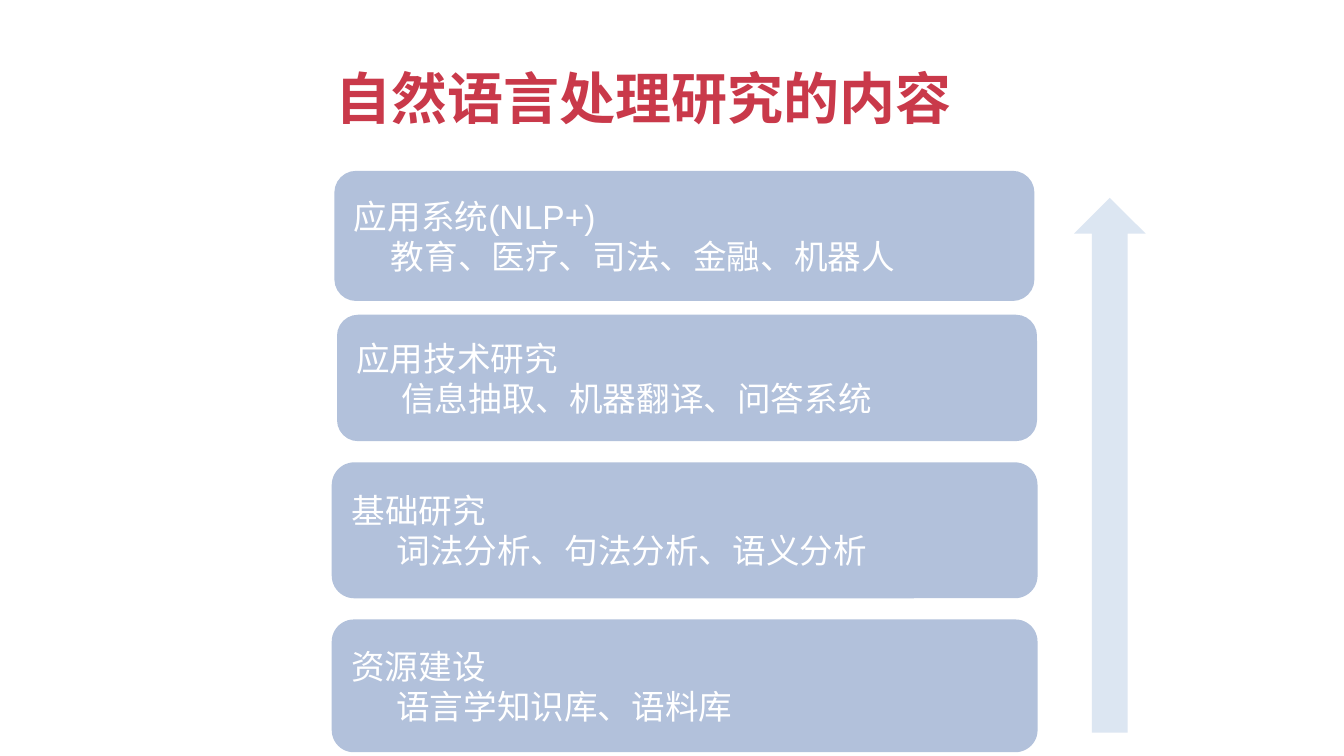
from dataclasses import dataclass

from lxml.etree import SubElement
from pptx import Presentation
from pptx.dml.color import RGBColor
from pptx.enum.shapes import MSO_SHAPE
from pptx.enum.text import MSO_ANCHOR, MSO_AUTO_SIZE, PP_ALIGN
from pptx.oxml.ns import qn
from pptx.util import Cm, Pt


@dataclass(frozen=True)
class Theme:
    title: RGBColor = RGBColor(0xC9, 0x39, 0x4A)
    layer: RGBColor = RGBColor(0xB2, 0xC1, 0xDB)
    arrow: RGBColor = RGBColor(0xDC, 0xE6, 0xF2)
    text: RGBColor = RGBColor(0xFF, 0xFF, 0xFF)
    latin: str = "Arial"
    cjk: str = "Noto Sans CJK SC"
    title_size: Pt = Pt(30)
    layer_size: Pt = Pt(18)


THEME = Theme()

LAYERS = [
    ("资源建设", "语言学知识库、语料库", (6.27, 11.71, 13.34, 2.51), 0.85),
    ("基础研究", "词法分析、句法分析、语义分析", (6.27, 8.74, 13.34, 2.57), 0.85),
    ("应用技术研究", "信息抽取、机器翻译、问答系统", (6.37, 5.95, 13.23, 2.39), 0.85),
    ("应用系统(NLP+)", "教育、医疗、司法、金融、机器人", (6.32, 3.23, 13.23, 2.46), 0.7),
]


def add_run(p, text, size, color, latin, bold=False):
    r = p.add_run()
    r.text = text
    r.font.size = size
    r.font.bold = bold
    r.font.color.rgb = color
    r.font.name = latin
    ea = SubElement(r._r.get_or_add_rPr(), qn("a:ea"))
    ea.set("typeface", THEME.cjk)


def add_title(s, text, box):
    sp = s.shapes.add_textbox(*map(Cm, box))
    tf = sp.text_frame
    tf.word_wrap = False
    tf.auto_size = MSO_AUTO_SIZE.NONE
    p = tf.paragraphs[0]
    p.alignment = PP_ALIGN.LEFT
    add_run(p, text, THEME.title_size, THEME.title, THEME.cjk, bold=True)


def add_block(s, kind, box, color):
    sp = s.shapes.add_shape(kind, *map(Cm, box))
    sp.shadow.inherit = False
    sp.fill.solid()
    sp.fill.fore_color.rgb = color
    sp.line.fill.background()
    return sp


def add_layer(s, heading, topics, box, indent):
    sp = add_block(s, MSO_SHAPE.FLOWCHART_ALTERNATE_PROCESS, box, THEME.layer)
    tf = sp.text_frame
    tf.word_wrap = True
    tf.vertical_anchor = MSO_ANCHOR.MIDDLE
    lines = ((tf.paragraphs[0], heading, 0), (tf.add_paragraph(), topics, indent))
    for p, text, margin in lines:
        p.alignment = PP_ALIGN.LEFT
        p._p.get_or_add_pPr().set("marL", str(int(Cm(margin))))
        add_run(p, text, THEME.layer_size, THEME.text, THEME.latin)


def main():
    prs = Presentation()
    prs.slide_width, prs.slide_height = Cm(25.4), Cm(14.29)
    s = prs.slides.add_slide(prs.slide_layouts[6])
    add_title(s, "自然语言处理研究的内容", (6.1, 1.07, 12.3, 1.52))
    for layer in LAYERS:
        add_layer(s, *layer)
    add_block(s, MSO_SHAPE.UP_ARROW, (20.3, 3.74, 1.35, 10.11), THEME.arrow)
    prs.save("out.pptx")


if __name__ == "__main__":
    main()
